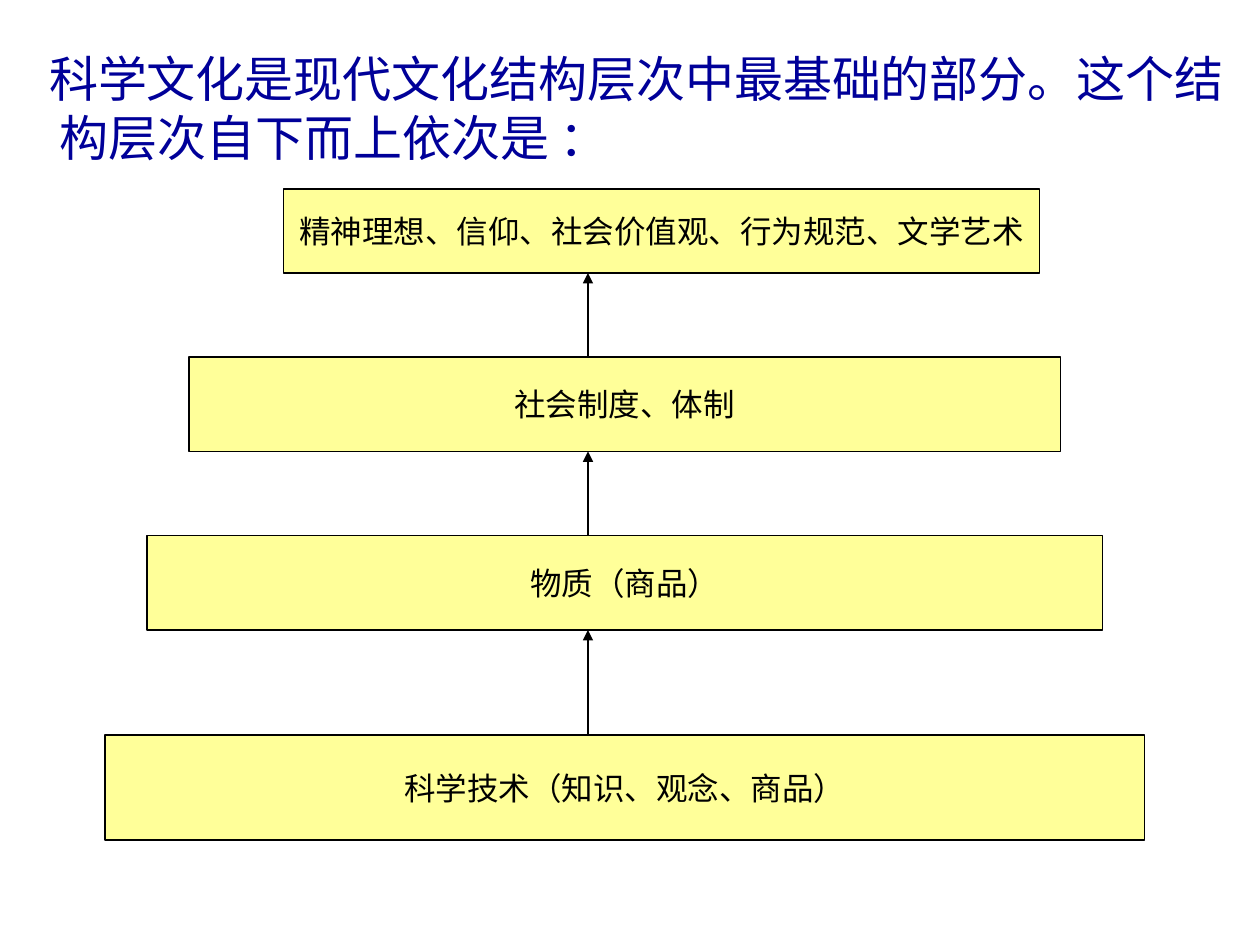
from itertools import pairwise

from lxml.etree import SubElement
from pptx import Presentation
from pptx.dml.color import RGBColor
from pptx.enum.shapes import MSO_CONNECTOR as Connector, MSO_SHAPE as Shape
from pptx.enum.text import MSO_ANCHOR as Anchor, PP_ALIGN as Align
from pptx.oxml.ns import qn
from pptx.util import Pt

HEADING = "科学文化是现代文化结构层次中最基础的部分。这个结构层次自下而上依次是 ："
# Layers from bottom to top: text, left, top, width, height
LAYERS = [
    ("科学技术（知识、观念、商品）", 60, 420, 594, 60),
    ("物质（商品）", 84, 306, 546, 54),
    ("社会制度、体制", 108, 204, 498, 54),
    ("精神理想、信仰、社会价值观、行为规范、文学艺术", 162, 108, 432, 48),
]
ARROW_X = 336
BLACK, NAVY, YELLOW = "000000", "000099", "FFFF99"


def color(value):
    return RGBColor.from_string(value)


def write(frame, text, *, size, font, ink=BLACK, align=Align.LEFT,
          anchor=Anchor.TOP, wrap=True):
    frame.word_wrap = wrap
    frame.vertical_anchor = anchor
    paragraph = frame.paragraphs[0]
    paragraph.alignment = align
    run = paragraph.add_run()
    run.text = text
    run.font.size = Pt(size)
    run.font.name = font
    run.font.color.rgb = color(ink)
    SubElement(run.font._element, qn("a:ea"), typeface=font)
    return paragraph


def outline(item):
    item.line.color.rgb = color(BLACK)
    item.line.width = Pt(0.75)


def add_layer(slide, text, *bounds):
    layer = slide.shapes.add_shape(Shape.RECTANGLE, *map(Pt, bounds))
    layer.shadow.inherit = False
    layer.fill.solid()
    layer.fill.fore_color.rgb = color(YELLOW)
    outline(layer)
    write(layer.text_frame, text, size=18, font="Arial",
          align=Align.CENTER, anchor=Anchor.MIDDLE, wrap=False)


def add_arrow(slide, start, end):
    arrow = slide.shapes.add_connector(
        Connector.STRAIGHT, Pt(ARROW_X), Pt(start), Pt(ARROW_X), Pt(end))
    outline(arrow)
    SubElement(arrow.line._get_or_add_ln(), qn("a:tailEnd"), type="triangle")
    SubElement(arrow._element.spPr, qn("a:effectLst"))


def main():
    deck = Presentation()
    deck.slide_width, deck.slide_height = Pt(720), Pt(540)
    slide = deck.slides.add_slide(deck.slide_layouts[6])

    heading = slide.shapes.add_textbox(Pt(0), Pt(24), Pt(708), Pt(474))
    paragraph = write(heading.text_frame, HEADING, size=28,
                      font="Noto Sans CJK JP", ink=NAVY)
    paragraph.space_before = Pt(7)
    indents = paragraph._p.get_or_add_pPr()
    indents.set("marL", str(Pt(27)))
    indents.set("indent", str(Pt(-6)))

    for layer in LAYERS:
        add_layer(slide, *layer)
    for lower, upper in pairwise(LAYERS):
        add_arrow(slide, lower[2], upper[2] + upper[4])

    deck.save("out.pptx")


if __name__ == "__main__":
    main()
